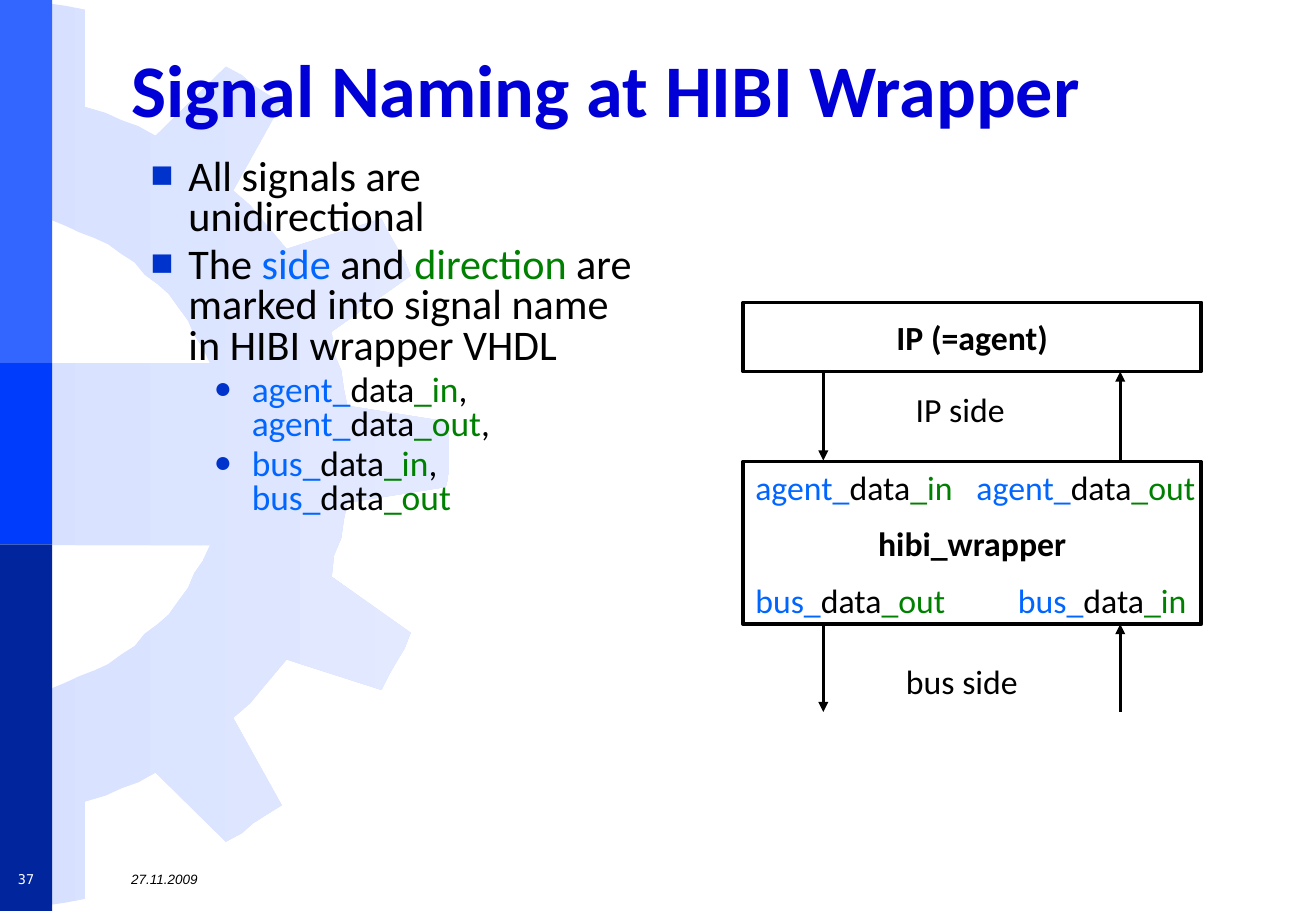
from dataclasses import dataclass

from lxml.etree import SubElement
from pptx import Presentation
from pptx.dml.color import RGBColor
from pptx.enum.shapes import MSO_CONNECTOR, MSO_SHAPE
from pptx.enum.text import MSO_ANCHOR, MSO_AUTO_SIZE, PP_ALIGN
from pptx.oxml.ns import qn
from pptx.util import Pt


@dataclass(frozen=True)
class Theme:
    font: str = "Calibri"
    date_font: str = "Arial"
    number_font: str = "DejaVu Sans Mono"
    title_size: float = 44
    body_sizes: tuple = (25, 21)
    label_size: float = 20
    footer_size: float = 8
    title: str = "0000D6"
    text: str = "000000"
    side: str = "0066FF"
    direction: str = "008000"
    bullet: str = "0033CC"
    white: str = "FFFFFF"
    gear: tuple = ("D7E1FF", "E3EAFF")
    bands: tuple = ("3366FF", "003CFC", "00259C")


THEME = Theme()
BAND_WIDTH = 31
BAND_EDGES = (0, 215.3, 322.6, 540)
GEAR_HEIGHT = 538.5
GEAR_UPPER_HALF = [
    (0, 215.3), (124.6, 215.3), (120.2, 205.9), (115.2, 198.7), (111.6, 190.1),
    (105.8, 182.2), (100.1, 174.2), (93.6, 168.5), (85.7, 162.7), (79.9, 155.5),
    (72, 150.5), (64.1, 144.7), (56.2, 141.1), (46.8, 137.5), (38.9, 133.9),
    (30.2, 130.3), (20.2, 129.6), (10.1, 126.7), (10.1, 0), (20.9, 0.7),
    (30.2, 2.2), (39.6, 3.6), (50.4, 5.8), (50.4, 63.4), (62.6, 67), (72, 71.3),
    (82.1, 74.9), (92.2, 80.6), (133.9, 39.6), (143.3, 44.6), (149.8, 50.4),
    (157.7, 55.4), (167, 61.2), (138.2, 113), (148.3, 121.7), (154.8, 129.6),
    (162, 138.2), (169.9, 147.6), (226.1, 129.6), (230.4, 138.2), (235.4, 146.9),
    (239.8, 154.1), (243.4, 163.4), (196.6, 196.6), (198, 209.5), (202.3, 219.6),
    (203.8, 230.4), (205.9, 240.5), (264.2, 249.8), (266.4, 258.5),
]


def rgb(value):
    return RGBColor.from_string(value)


def plain(text):
    return [(text, THEME.text)]


def signal(name):
    """Split side_data_direction into coloured runs."""
    side, data, direction = name.split("_")
    return [(side + "_", THEME.side), (data, THEME.text), ("_" + direction, THEME.direction)]


def add_runs(p, runs, size, font=THEME.font, bold=False, italic=False):
    for text, color in runs:
        r = p.add_run()
        r.text = text
        r.font.name, r.font.size = font, Pt(size)
        r.font.bold, r.font.italic = bold, italic
        r.font.color.rgb = rgb(color)


def place(sp, left, top, width, height):
    sp.left, sp.top, sp.width, sp.height = map(Pt, (left, top, width, height))


def add_rect(shapes, box, fill, line=None):
    sp = shapes.add_shape(MSO_SHAPE.RECTANGLE, *map(Pt, box))
    sp.shadow.inherit = False
    sp.fill.solid()
    sp.fill.fore_color.rgb = rgb(fill)
    if line:
        sp.line.color.rgb = rgb(line)
        sp.line.width = Pt(2.25)
    else:
        sp.line.fill.background()
    return sp


def add_label(shapes, box, runs, size=THEME.label_size, font=THEME.font,
              italic=False, align=PP_ALIGN.LEFT, anchor=MSO_ANCHOR.TOP):
    tf = shapes.add_textbox(*map(Pt, box)).text_frame
    tf.word_wrap = True
    tf.vertical_anchor = anchor
    tf.paragraphs[0].alignment = align
    add_runs(tf.paragraphs[0], runs, size, font, italic=italic)


def add_block(shapes, box, name):
    tf = add_rect(shapes, box, THEME.white, THEME.text).text_frame
    tf.vertical_anchor = MSO_ANCHOR.MIDDLE
    tf.paragraphs[0].alignment = PP_ALIGN.CENTER
    add_runs(tf.paragraphs[0], plain(name), THEME.label_size, bold=True)


def add_arrow(shapes, x, start, end):
    c = shapes.add_connector(MSO_CONNECTOR.STRAIGHT, Pt(x), Pt(start), Pt(x), Pt(end))
    c.line.color.rgb = rgb(THEME.text)
    c.line.width = Pt(1.75)
    SubElement(c.line._get_or_add_ln(), qn("a:tailEnd"), type="triangle")
    SubElement(c._element.spPr, qn("a:effectLst"))


def add_gear(shapes):
    lower_half = [(x, GEAR_HEIGHT - y) for x, y in reversed(GEAR_UPPER_HALF)]
    points = [(Pt(x), Pt(y)) for x, y in GEAR_UPPER_HALF + lower_half]
    builder = shapes.build_freeform(*points[0])
    builder.add_line_segments(points[1:], close=True)
    gear = builder.convert_to_shape()
    gear.shadow.inherit = False
    gear.line.fill.background()
    gear.fill.gradient()
    gear.fill.gradient_angle = 0
    for stop, color, position in zip(gear.fill.gradient_stops, THEME.gear, (0, 1)):
        stop.color.rgb = rgb(color)
        stop.position = position


def add_backdrop(shapes):
    add_gear(shapes)
    for top, bottom, color in zip(BAND_EDGES, BAND_EDGES[1:], THEME.bands):
        add_rect(shapes, (0, top, BAND_WIDTH, bottom - top), color)


def fill_title(sp, text):
    place(sp, 70.6, 15, 676, 67.7)
    tf = sp.text_frame
    tf.auto_size = MSO_AUTO_SIZE.NONE
    tf.vertical_anchor = MSO_ANCHOR.BOTTOM
    p = tf.paragraphs[0]
    p.alignment = PP_ALIGN.LEFT
    p.line_spacing = 0.9
    add_runs(p, [(text, THEME.title)], THEME.title_size, bold=True)


def set_bullet(p, level):
    indent, char, scale = ((22.5, "■", 90000), (60, "●", 85000))[level]
    pPr = p._p.get_or_add_pPr()
    pPr.set("marL", str(Pt(indent)))
    pPr.set("indent", str(Pt(-22.5)))
    SubElement(SubElement(pPr, qn("a:buClr")), qn("a:srgbClr"), val=THEME.bullet)
    SubElement(pPr, qn("a:buSzPct"), val=str(scale))
    SubElement(pPr, qn("a:buFont"), typeface="Arial")
    SubElement(pPr, qn("a:buChar"), char=char)


def fill_list(sp, items):
    place(sp, 82, 90.7, 303, 257)
    tf = sp.text_frame
    tf.auto_size = MSO_AUTO_SIZE.NONE
    for i, (level, runs) in enumerate(items):
        p = tf.add_paragraph() if i else tf.paragraphs[0]
        p.level = level
        p.line_spacing = 0.8
        p.space_before = Pt(4 if i else 0)
        set_bullet(p, level)
        add_runs(p, runs, THEME.body_sizes[level])


def add_wrapper_diagram(shapes):
    add_block(shapes, (440.6, 179.3, 271.4, 41), "IP (=agent)")
    add_block(shapes, (440.6, 273.6, 271.4, 96.5), "hibi_wrapper")
    for left, top, text in ((535.7, 226.8, "IP side"), (529.9, 388, "bus side")):
        add_label(shapes, (left, top, 103, 40), plain(text))
    for left, top, name in ((440.6, 273, "agent_data_in"), (571.7, 273, "agent_data_out"),
                            (440.6, 340, "bus_data_out"), (596.2, 340, "bus_data_in")):
        add_label(shapes, (left, top, 168, 40), signal(name))
    for top, bottom in ((220.3, 273), (370, 422)):
        add_arrow(shapes, 488, top, bottom)
        add_arrow(shapes, 664, bottom, top)


def main():
    prs = Presentation()
    prs.slide_width, prs.slide_height = Pt(780), Pt(540)
    s = prs.slides.add_slide(prs.slide_layouts[1])
    title, body = s.placeholders
    add_backdrop(s.shapes)
    for sp in (title, body):  # bring the text in front of the backdrop
        sp._element.getparent().append(sp._element)

    fill_title(title, "Signal Naming at HIBI Wrapper")
    comma = plain(", ")
    fill_list(body, [
        (0, plain("All signals are unidirectional")),
        (0, plain("The ") + [("side", THEME.side)] + plain(" and ")
         + [("direction ", THEME.direction)]
         + plain("are marked into signal name in HIBI wrapper VHDL")),
        (1, signal("agent_data_in") + comma + signal("agent_data_out") + plain(",")),
        (1, signal("bus_data_in") + comma + signal("bus_data_out")),
    ])
    add_wrapper_diagram(s.shapes.add_group_shape().shapes)
    add_label(s.shapes, (70.6, 512, 676, 18.7), plain("27.11.2009"), THEME.footer_size,
              THEME.date_font, italic=True, anchor=MSO_ANCHOR.MIDDLE)
    add_label(s.shapes, (0, 512, BAND_WIDTH, 18.7), [("37", THEME.white)], THEME.footer_size,
              THEME.number_font, align=PP_ALIGN.CENTER, anchor=MSO_ANCHOR.MIDDLE)
    prs.save("out.pptx")


if __name__ == "__main__":
    main()
